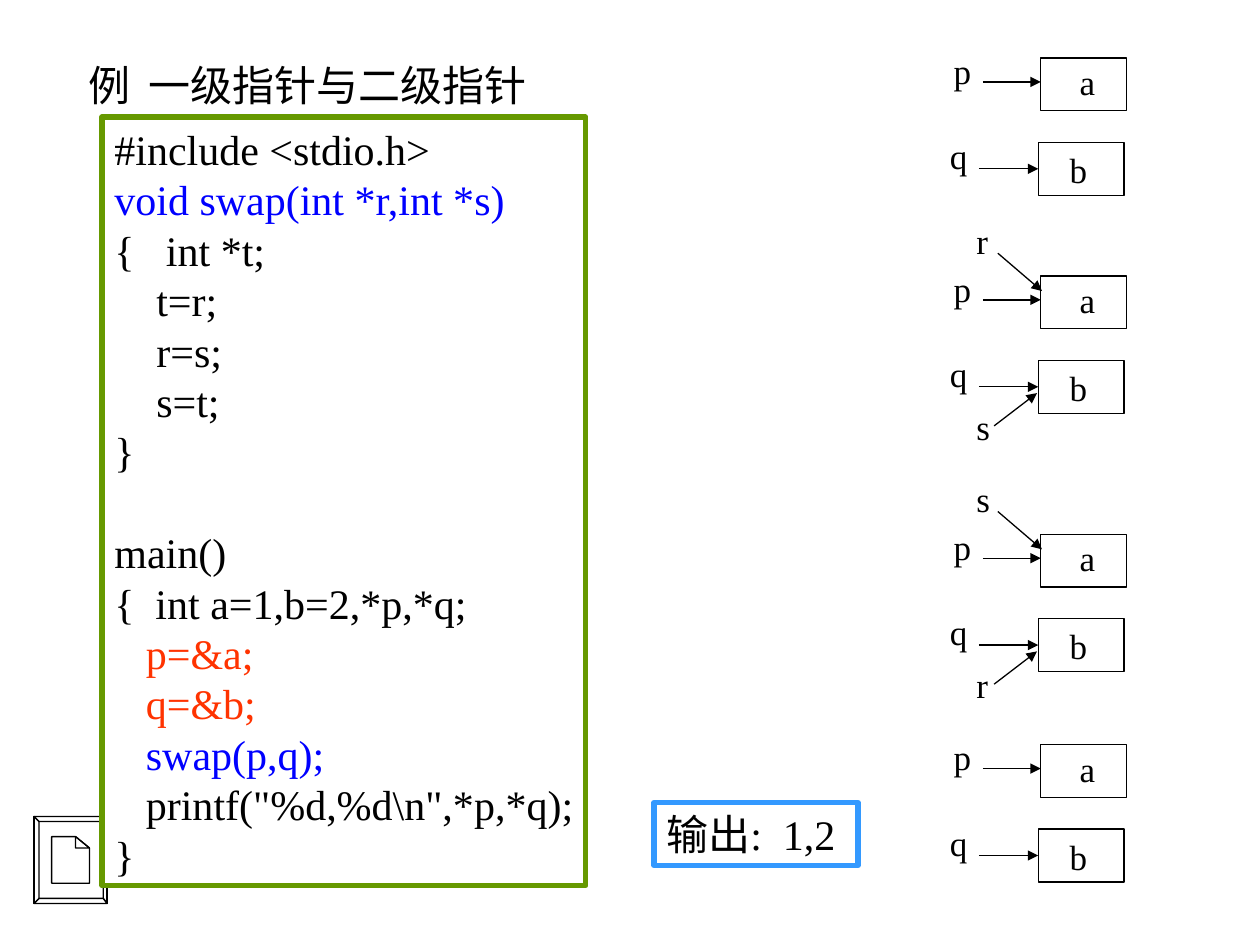
from dataclasses import dataclass

from lxml import etree
from pptx import Presentation
from pptx.dml.color import RGBColor
from pptx.enum.shapes import MSO_CONNECTOR as Connector, MSO_SHAPE as Shape
from pptx.enum.text import MSO_ANCHOR as Anchor, MSO_AUTO_SIZE as AutoSize, PP_ALIGN as Align
from pptx.oxml.ns import qn
from pptx.util import Inches, Pt


@dataclass(frozen=True)
class Theme:
    font: str = "Times New Roman"
    black: str = "000000"
    white: str = "FFFFFF"
    blue: str = "0000FF"
    red: str = "FF3300"
    code_border: str = "669900"
    output_border: str = "3399FF"
    body: float = 24
    label: float = 20
    code_pitch: float = 28.8
    thin: float = 0.75
    thick: float = 3


THEME = Theme()

CODE = [
    [("#include <stdio.h>", THEME.black)],
    [("void swap(int *r,int *s)", THEME.blue)],
    [("{   int *t;", THEME.black)],
    [("    t=r;", THEME.black)],
    [("    r=s;", THEME.black)],
    [("    s=t;", THEME.black)],
    [("}", THEME.black)],
    [],
    [("main()", THEME.black)],
    [("{  int a=1,b=2,*p,*q;", THEME.black)],
    [("   p=&a;", THEME.red)],
    [("   q=&b;", THEME.red)],
    [("   swap(p,q);", THEME.blue)],
    [('   printf("%d,%d\\n",*p,*q);', THEME.black)],
    [("}", THEME.black)],
]

# Top of each memory state, with the extra pointers to a and b
STATES = [(0.46, None), (2.19, ("r", "s")), (4.24, ("s", "r")), (5.91, None)]

LABEL_WIDTHS = {"a": 0.32, "b": 0.34, "p": 0.34, "q": 0.34, "r": 0.29, "s": 0.31}


class SlideBuilder:
    def __init__(self, page, theme):
        self.page = page
        self.theme = theme

    def outline(self, shape, color, width):
        shape.line.color.rgb = RGBColor.from_string(color)
        shape.line.width = Pt(width)

    def set_lines(self, shape, lines, size, pitch=None):
        """Fill a shape with lines, each a list of (text, color) spans."""
        frame = shape.text_frame
        frame.word_wrap = False
        frame.auto_size = AutoSize.SHAPE_TO_FIT_TEXT
        for index, spans in enumerate(lines):
            para = frame.add_paragraph() if index else frame.paragraphs[0]
            para.alignment = Align.LEFT
            if pitch:
                para.line_spacing = Pt(pitch)
            para.font.name = self.theme.font
            para.font.size = Pt(size)
            for text, color in spans:
                span = para.add_run()
                span.text = text
                para.font.color.rgb = RGBColor.from_string(color)

    def text(self, left, top, width, height, text, size, group=None):
        box = (group or self.page).shapes.add_textbox(
            Inches(left), Inches(top), Inches(width), Inches(height))
        self.set_lines(box, [[(text, self.theme.black)]], size)

    def box(self, left, top, width, height, color, line, fill=None, group=None):
        shape = (group or self.page).shapes.add_shape(
            Shape.RECTANGLE, Inches(left), Inches(top), Inches(width), Inches(height))
        shape.shadow.inherit = False
        if fill:
            shape.fill.solid()
            shape.fill.fore_color.rgb = RGBColor.from_string(fill)
        else:
            shape.fill.background()
        self.outline(shape, color, line)
        return shape

    def arrow(self, start, end, group):
        line = group.shapes.add_connector(
            Connector.STRAIGHT, *(Inches(value) for value in (*start, *end)))
        self.outline(line, self.theme.black, self.theme.thin)
        properties = line._element.spPr
        etree.SubElement(properties.find(qn("a:ln")), qn("a:tailEnd"), type="triangle")
        etree.SubElement(properties, qn("a:effectLst"))

    def outlines(self, contours):
        """Draw closed contours as one white shape with thin black lines."""
        (first, *rest), *others = contours
        builder = self.page.shapes.build_freeform(
            Inches(first[0]), Inches(first[1]), scale=1.0)
        builder.add_line_segments([(Inches(x), Inches(y)) for x, y in rest])
        for start, *points in others:
            builder.move_to(Inches(start[0]), Inches(start[1]))
            builder.add_line_segments([(Inches(x), Inches(y)) for x, y in points])
        shape = builder.convert_to_shape()
        shape.shadow.inherit = False
        shape.fill.solid()
        shape.fill.fore_color.rgb = RGBColor.from_string(self.theme.white)
        self.outline(shape, self.theme.black, self.theme.thin)

    def document_button(self):
        def corners(left, top, right, bottom):
            return [(left, top), (right, top), (right, bottom), (left, bottom)]

        outer = corners(0.27, 6.48, 0.85, 7.17)
        inner = corners(0.31, 6.52, 0.82, 7.13)
        bevels = []
        for side in range(4):
            after = (side + 1) % 4
            bevels.append([outer[side], outer[after], inner[after], inner[side]])
        sheet = [(0.41, 6.64), (0.6, 6.64), (0.71, 6.73), (0.71, 7.01), (0.41, 7.01)]
        fold = [(0.6, 6.64), (0.71, 6.73), (0.6, 6.73)]
        self.outlines([contour + contour[:1] for contour in [outer, *bevels, sheet, fold]])

    def memory_state(self, top, extra):
        """Draw p and q pointing to a and b, plus the function's own pointers."""
        group = self.page.shapes.add_group_shape()

        def label(text, left, offset):
            self.text(left, top + offset, LABEL_WIDTHS[text], 0.44, text,
                      self.theme.label, group)

        def arrow(x1, y1, x2, y2):
            self.arrow((x1, top + y1), (x2, top + y2), group)

        for left, offset in ((8.26, 0), (8.24, 0.67)):
            self.box(left, top + offset, 0.68, 0.42, self.theme.black,
                     self.theme.thin, group=group)
        label("a", 8.47, -0.03)
        label("b", 8.39, 0.67)
        arrow(7.8, 0.19, 8.26, 0.19)
        label("p", 7.47, -0.12)
        arrow(7.77, 0.88, 8.24, 0.88)
        label("q", 7.44, 0.56)
        if extra:
            upper, lower = extra
            arrow(7.92, -0.18, 8.27, 0.12)
            label(upper, 7.65, -0.5)
            arrow(7.89, 1.19, 8.23, 0.93)
            label(lower, 7.65, 0.98)


def main():
    deck = Presentation()
    deck.slide_width, deck.slide_height = Inches(10), Inches(7.5)
    slide = SlideBuilder(deck.slides.add_slide(deck.slide_layouts[6]), THEME)

    slide.document_button()
    slide.text(0.6, 0.42, 3.68, 0.5, "例  一级指针与二级指针", THEME.body)
    code = slide.box(0.81, 0.93, 3.84, 6.1, THEME.code_border, THEME.thick, THEME.white)
    code.text_frame.vertical_anchor = Anchor.MIDDLE
    slide.set_lines(code, CODE, THEME.body, THEME.code_pitch)

    for top, extra in STATES:
        slide.memory_state(top, extra)

    output = slide.box(5.19, 6.37, 1.62, 0.5, THEME.output_border, THEME.thick)
    output.text_frame.vertical_anchor = Anchor.TOP
    slide.set_lines(output, [[("输出:  1,2", THEME.black)]], THEME.body)

    deck.save("out.pptx")


if __name__ == "__main__":
    main()
